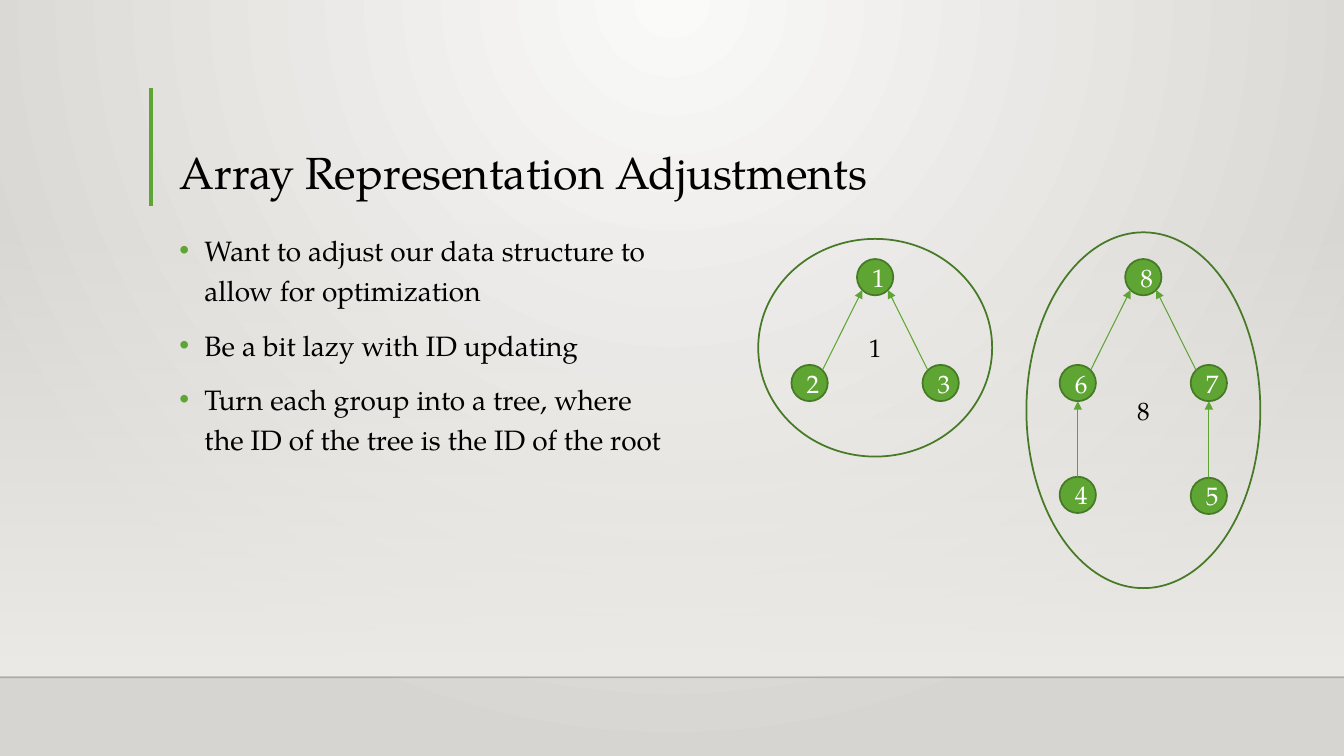
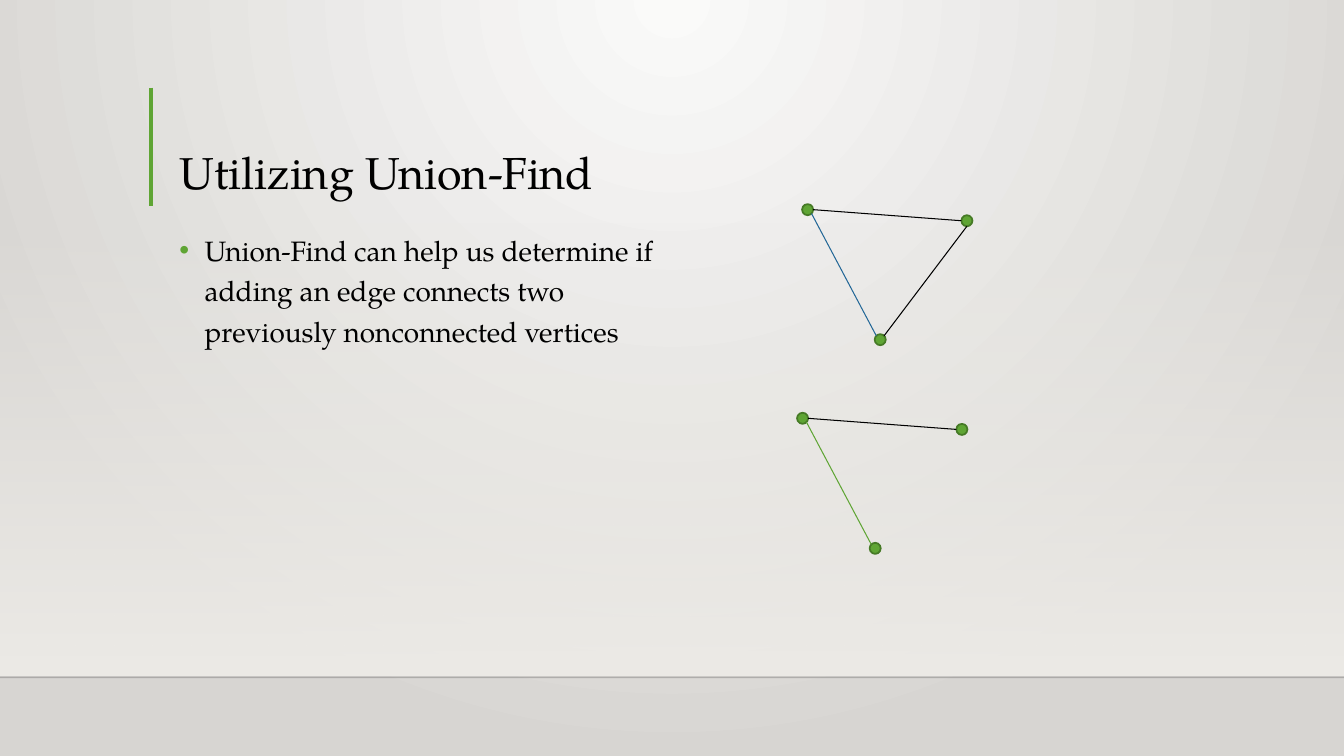
import math

import lxml.etree
import pptx
import pptx.dml.color
import pptx.enum.shapes
import pptx.enum.text
import pptx.oxml.ns
import pptx.util

Inches = pptx.util.Inches
Pt = pptx.util.Pt
qn = pptx.oxml.ns.qn
SHAPE = pptx.enum.shapes.MSO_SHAPE
ANCHOR = pptx.enum.text.MSO_ANCHOR
ALIGN = pptx.enum.text.PP_ALIGN
FIT = pptx.enum.text.MSO_AUTO_SIZE

FACE = "TeX Gyre Pagella"
COLORS = {
    "green": "5FA534", "rim": "467A26", "blue": "236797",
    "black": "000000", "white": "FFFFFF", "rule": "000001",
    "glow": "FAFAF9", "edge": "D7D5D2", "floor": "EDEBE7",
}
TITLE = {"size": Pt(32), "name": FACE}
BODY = {"size": Pt(20), "name": FACE}
LABEL = {"size": Pt(18), "name": FACE}
ITEM = {"line_spacing": 1.2, "space_before": Pt(10)}

# Compass sites on a circle, in degrees clockwise from the right
E, SE, S, SW, W, NW, N, NE = range(0, 360, 45)


# Formatting helpers
def rgb(name):
    return pptx.dml.color.RGBColor.from_string(COLORS[name])


def put(item, values):
    for key, value in values.items():
        setattr(item, key, value)


def style(run, font, color):
    put(run.font, font)
    run.font.color.rgb = rgb(color)


def sub(parent, tag, **attrs):
    return lxml.etree.SubElement(parent, qn(tag), attrs)


def fade(props, stops):
    """Swap the empty fill for a gradient and return it."""
    grad = lxml.etree.Element(qn("a:gradFill"), rotWithShape="1")
    steps = sub(grad, "a:gsLst")
    for pos, name, alpha in stops:
        step = sub(steps, "a:gs", pos=str(pos * 1000))
        tone = sub(step, "a:srgbClr", val=COLORS[name])
        if alpha < 100:
            sub(tone, "a:alpha", val=str(alpha * 1000))
    props.replace(props.find(qn("a:noFill")), grad)
    return grad


# Drawing helpers
def line(shapes, start, end, color, width=0.75, arrow=False, alpha=100):
    points = [Inches(value) for value in (*start, *end)]
    link = shapes.add_connector(
        pptx.enum.shapes.MSO_CONNECTOR.STRAIGHT, *points)
    link.line.color.rgb = rgb(color)
    link.line.width = Pt(width)
    props = link._element.spPr
    stroke = props.find(qn("a:ln"))
    if alpha < 100:
        tone = stroke.find(".//" + qn("a:srgbClr"))
        sub(tone, "a:alpha", val=str(alpha * 1000))
    if arrow:
        sub(stroke, "a:tailEnd", type="triangle")
    sub(props, "a:effectLst")
    return link


def oval(shapes, center, width, height, text="", filled=True):
    x, y = center
    shape = shapes.add_shape(
        SHAPE.OVAL, Inches(x - width / 2), Inches(y - height / 2),
        Inches(width), Inches(height))
    shape.shadow.inherit = False
    if filled:
        shape.fill.solid()
        shape.fill.fore_color.rgb = rgb("green")
    else:
        shape.fill.background()
    shape.line.color.rgb = rgb("rim")
    shape.line.width = Pt(1.25)
    if text:
        shape.text_frame.vertical_anchor = ANCHOR.MIDDLE
        para = shape.text_frame.paragraphs[0]
        para.alignment = ALIGN.CENTER
        run = para.add_run()
        run.text = text
        style(run, LABEL, "white" if filled else "black")


def site(center, size, angle):
    turn = math.radians(angle)
    x, y = center
    return x + size / 2 * math.cos(turn), y + size / 2 * math.sin(turn)


def join(shapes, size, first, second, color, arrow=False):
    """Link two circles, each given as (center, compass site)."""
    start, end = (site(center, size, angle) for center, angle in (first, second))
    line(shapes, start, end, color, arrow=arrow)


# Shared slide parts
def theme(deck, layout):
    master = deck.slide_master
    master.background.fill.background()
    props = master.element.find(".//" + qn("p:bgPr"))
    grad = fade(props, [(0, "glow", 100), (100, "edge", 100)])
    ring = sub(grad, "a:path", path="circle")
    sub(ring, "a:fillToRect", l="43000", t="0", r="43000", b="100000")
    for holder in list(layout.placeholders):
        if holder.placeholder_format.idx:
            holder._element.getparent().remove(holder._element)


def decor(slide, layout):
    """Draw the band and rules, then move them to the layout."""
    shapes = slide.shapes
    band = shapes.add_shape(
        SHAPE.RECTANGLE, 0, Inches(2.2), Inches(13.33), Inches(4.5))
    band.shadow.inherit = False
    band.fill.background()
    band.line.fill.background()
    grad = fade(band._element.spPr, [(0, "floor", 0), (100, "floor", 100)])
    sub(grad, "a:lin", ang="5400000", scaled="0")
    base = line(shapes, (0, 6.72), (13.33, 6.72), "rule", 1, alpha=20)
    mark = line(shapes, (1.5, 0.87), (1.5, 2.04), "green", 3)
    for part in (band, base, mark):
        layout.shapes._spTree.append(part._element)


def head(slide, text):
    title = slide.shapes.title
    put(title, {"left": Inches(1.68), "top": Inches(0.88),
                "width": Inches(10.41), "height": Inches(1.15)})
    put(title.text_frame, {"vertical_anchor": ANCHOR.BOTTOM,
                           "word_wrap": True, "auto_size": FIT.NONE})
    para = title.text_frame.paragraphs[0]
    put(para, {"alignment": ALIGN.LEFT, "line_spacing": 0.9})
    run = para.add_run()
    run.text = text
    style(run, TITLE, "black")


def bullets(slide, width, items):
    box = slide.shapes.add_textbox(
        Inches(1.68), Inches(2.2), Inches(width), Inches(3.77))
    frame = box.text_frame
    frame.word_wrap = True
    for rank, text in enumerate(items):
        para = frame.add_paragraph() if rank else frame.paragraphs[0]
        put(para, ITEM)
        props = para._p.get_or_add_pPr()
        props.set("marL", str(Inches(0.25)))
        props.set("indent", str(-Inches(0.25)))
        tint = sub(props, "a:buClr")
        sub(tint, "a:srgbClr", val=COLORS["green"])
        sub(props, "a:buFont", typeface="Arial")
        sub(props, "a:buChar", char="•")
        run = para.add_run()
        run.text = text
        style(run, BODY, "black")


# Diagrams
def tree(slide, x, ring, names):
    """Draw root, left and right nodes, then any lower leaves."""
    size = 0.36
    shapes = slide.shapes.add_group_shape().shapes
    spots = [(x, 2.75), (x - 0.65, 3.8), (x + 0.65, 3.8),
             (x - 0.65, 4.91), (x + 0.65, 4.92)]
    middle, height = ring
    oval(shapes, (x, middle), 2.32, height, names[0], filled=False)
    for spot, name in zip(spots, names):
        oval(shapes, spot, size, size, name)
    links = [(1, NE, 0, SW), (2, NW, 0, SE), (3, N, 1, S), (4, N, 2, S)]
    for low, out, high, into in links[:len(names) - 1]:
        join(shapes, size, (spots[low], out), (spots[high], into),
             "green", arrow=True)


def graph(slide, x, y, links):
    """Draw three vertices from the first one's center, and their edges."""
    size = 0.11
    shapes = slide.shapes.add_group_shape().shapes
    dots = [(x, y), (x + 1.58, y + 0.11), (x + 0.72, y + 1.29)]
    for dot in dots:
        oval(shapes, dot, size, size)
    for first, out, last, into, color in links:
        join(shapes, size, (dots[first], out), (dots[last], into), color)


def main():
    deck = pptx.Presentation()
    put(deck, {"slide_width": Inches(13.33), "slide_height": Inches(7.5)})
    layout = deck.slide_layouts[5]
    theme(deck, layout)

    # Slide 1: groups as trees
    slide = deck.slides.add_slide(layout)
    decor(slide, layout)
    head(slide, "Array Representation Adjustments")
    bullets(slide, 5.13, [
        "Want to adjust our data structure to allow for optimization",
        "Be a bit lazy with ID updating",
        "Turn each group into a tree, where the ID of the tree "
        "is the ID of the root",
    ])
    tree(slide, 8.68, (3.45, 2.16), "123")
    tree(slide, 11.34, (4.07, 3.53), "86745")

    # Slide 2: edges between vertices
    slide = deck.slides.add_slide(layout)
    head(slide, "Utilizing Union-Find")
    bullets(slide, 4.99, [
        "Union-Find can help us determine if adding an edge connects "
        "two previously nonconnected vertices",
    ])
    top = (0, E, 1, W, "black")
    graph(slide, 8.01, 2.08, [top, (1, S, 2, NE, "black"),
                              (0, SE, 2, NW, "blue")])
    graph(slide, 7.96, 4.15, [top, (0, SE, 2, NW, "green")])

    deck.save("out.pptx")


main()
